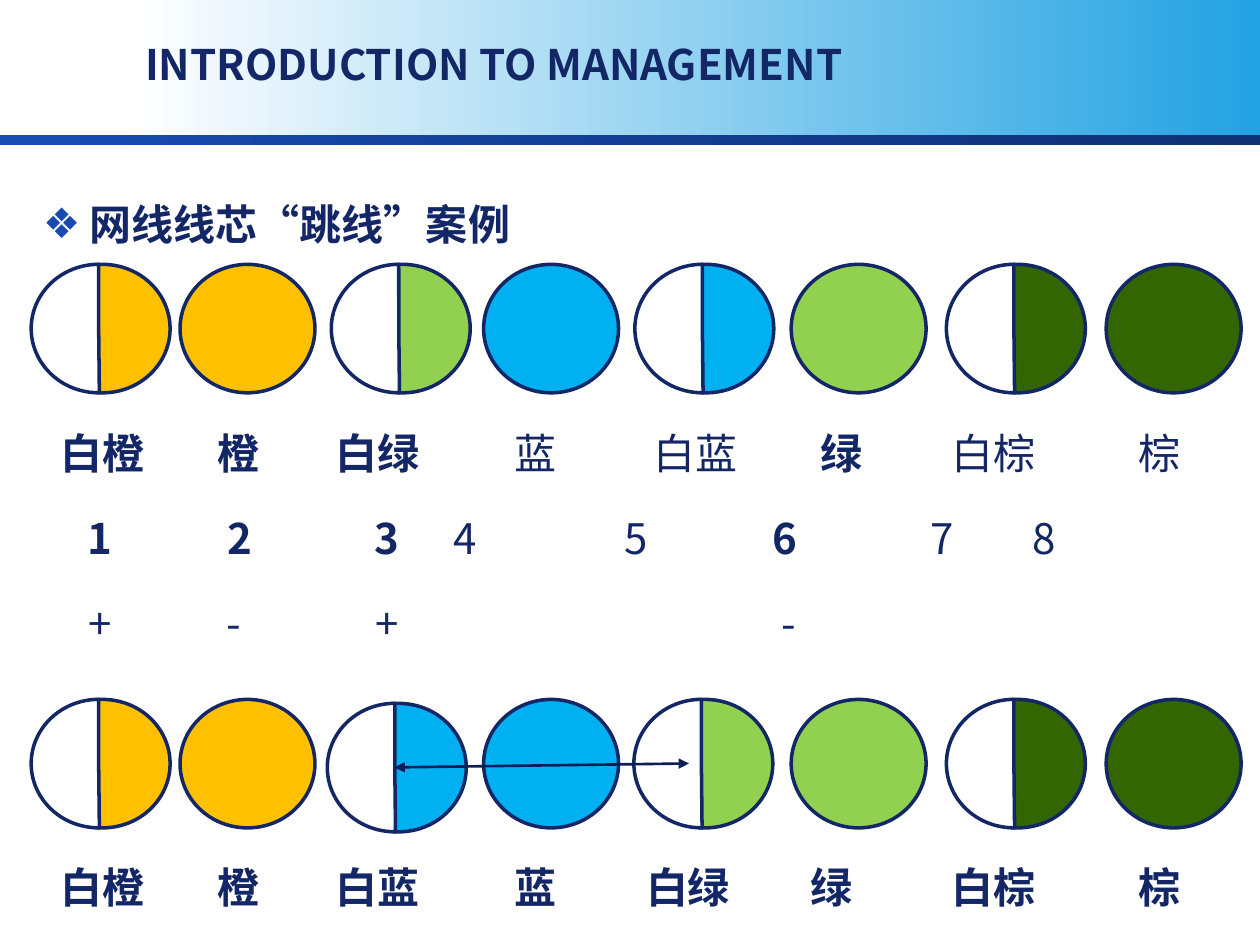
from dataclasses import dataclass

from lxml.etree import SubElement
from pptx import Presentation
from pptx.dml.color import RGBColor
from pptx.enum.shapes import MSO_CONNECTOR as LINE, MSO_SHAPE as SHAPE
from pptx.enum.text import MSO_ANCHOR as ANCHOR, MSO_AUTO_SIZE as FIT, PP_ALIGN as ALIGN
from pptx.oxml.ns import qn
from pptx.util import Cm, Pt


@dataclass(frozen=True)
class Theme:
    font: str = "Noto Sans CJK SC"
    size: float = 24
    line_height: float = 43.8
    gap: float = 4.8
    outline: float = 2
    ink: str = "132767"
    arrow: str = "0C1E57"
    bullet: str = "184BB2"
    banner: tuple = ("FFFFFF", "22A2E2")
    rule: tuple = ("184BB2", "103175")
    white: str = "FFFFFF"
    orange: str = "FFC000"
    green: str = "92D050"
    blue: str = "00B0F0"
    brown: str = "336600"


THEME = Theme()
WIRE_W, WIRE_H = 2.72, 2.59
HALF_SHIFT = 0.08

# Each wire: left edge, colour, whether its left half is white
TOP_WIRES = [
    (0.63, THEME.orange, True), (3.63, THEME.orange, False),
    (6.68, THEME.green, True), (9.75, THEME.blue, False),
    (12.8, THEME.blue, True), (15.95, THEME.green, False),
    (19.08, THEME.brown, True), (22.3, THEME.brown, False),
]
SWAPPED = {2: (6.6, THEME.blue, True), 4: (12.78, THEME.green, True)}
BOTTOM_WIRES = [SWAPPED.get(i, wire) for i, wire in enumerate(TOP_WIRES)]

# Each text row: words, centres of the words, indexes of the bold words
NAMES = (["白橙", "橙", "白绿", "蓝", "白蓝", "绿", "白棕", "棕"],
         [0.84, 3.58, 6.4, 9.58, 12.8, 15.75, 18.8, 22.15], {0, 1, 2, 5})
PINS = (list("12345678"),
        [0.79, 3.61, 6.58, 8.15, 11.61, 14.6, 17.78, 19.83], {0, 1, 2, 5})
SIGNS = (list("+-+-"), [0.79, 3.5, 6.58, 14.68], set())
SWAPPED_NAMES = (["白橙", "橙", "白蓝", "蓝", "白绿", "绿", "白棕", "棕"],
                 [0.84, 3.58, 6.4, 9.58, 12.65, 15.54, 18.8, 22.15], set(range(8)))


def rgb(colour):
    return RGBColor.from_string(colour)


def add_run(paragraph, text, bold):
    run = paragraph.add_run()
    run.text = text
    font = run.font
    font.name, font.size, font.bold = THEME.font, Pt(THEME.size), bold
    font.color.rgb = rgb(THEME.ink)
    SubElement(font._element, qn("a:ea"), typeface=THEME.font)


def place(shape, left, top, width, height):
    shape.left, shape.top = Cm(left), Cm(top)
    shape.width, shape.height = Cm(width), Cm(height)


def add_band(slide, depth, colours, left, top, width, height):
    band = slide.shapes.add_shape(SHAPE.RECTANGLE, Cm(left), Cm(top), Cm(width), Cm(height))
    band.shadow.inherit = False
    band.line.fill.background()
    band.fill.gradient()
    band.fill.gradient_angle = 0
    for stop, colour in zip(band.fill.gradient_stops, colours):
        stop.color.rgb = rgb(colour)
    # Bands lie behind the placeholders
    band.element.getparent().insert(2 + depth, band.element)


def add_header(slide, left, top, width):
    add_band(slide, 0, THEME.banner, left + 2.7, top, width - 2.7, 2.72)
    add_band(slide, 1, THEME.rule, left, top + 2.72, width, 0.2)
    title = slide.shapes.title
    place(title, left + 2.67, top + 0.76, 15.9, 1.17)
    frame = title.text_frame
    frame.auto_size, frame.word_wrap = FIT.NONE, False
    frame.vertical_anchor = ANCHOR.MIDDLE
    paragraph = frame.paragraphs[0]
    paragraph.alignment = ALIGN.LEFT
    paragraph.line_spacing = 0.9
    paragraph.space_before = Pt(0)
    add_run(paragraph, "INTRODUCTION TO MANAGEMENT", True)


def add_topic(slide, left, top, width, height):
    body = slide.placeholders[1]
    place(body, left, top, width, height)
    body.text_frame.auto_size = FIT.NONE
    paragraph = body.text_frame.paragraphs[0]
    paragraph.line_spacing = Pt(THEME.line_height)
    paragraph.space_before = Pt(0)
    props = paragraph._p.get_or_add_pPr()
    props.set("marL", str(Cm(0.95)))
    props.set("indent", str(Cm(-0.95)))
    SubElement(SubElement(props, qn("a:buClr")), qn("a:srgbClr"), val=THEME.bullet)
    SubElement(props, qn("a:buChar"), char="❖")
    add_run(paragraph, "网线线芯“跳线”案例", True)


def add_disc(shapes, kind, colour, left, top):
    disc = shapes.add_shape(kind, Cm(left), Cm(top), Cm(WIRE_W), Cm(WIRE_H))
    disc.shadow.inherit = False
    disc.fill.solid()
    disc.fill.fore_color.rgb = rgb(colour)
    disc.line.color.rgb = rgb(THEME.ink)
    disc.line.width = Pt(THEME.outline)
    return disc


def add_wire(slide, colour, striped, left, top):
    if not striped:
        add_disc(slide.shapes, SHAPE.OVAL, colour, left, top)
        return
    pair = slide.shapes.add_group_shape().shapes
    add_disc(pair, SHAPE.OVAL, colour, left + HALF_SHIFT, top)
    half = add_disc(pair, SHAPE.PIE, THEME.white, left, top)
    half.adjustments[0], half.adjustments[1] = 53.61, 162


def add_wires(slide, wires, top, lowered=None):
    for index, (left, colour, striped) in enumerate(wires):
        drop = 0.08 if index == lowered else 0
        add_wire(slide, colour, striped, left, top + drop)


def add_rows(slide, rows, left, top, width, height):
    frame = slide.shapes.add_textbox(Cm(left), Cm(top), Cm(width), Cm(height)).text_frame
    frame.word_wrap = True
    for index, (words, centres, bold) in enumerate(rows):
        paragraph = frame.add_paragraph() if index else frame.paragraphs[0]
        paragraph.line_spacing = Pt(THEME.line_height)
        paragraph.space_before = Pt(THEME.gap if index else 0)
        tabs = SubElement(paragraph._p.get_or_add_pPr(), qn("a:tabLst"))
        for centre in centres:
            SubElement(tabs, qn("a:tab"), pos=str(Cm(centre)), algn="ctr")
        for column, word in enumerate(words):
            add_run(paragraph, "\t" + word, column in bold)


def add_swap_arrow(slide, start, end):
    arrow = slide.shapes.add_connector(LINE.STRAIGHT, *map(Cm, start + end))
    arrow.line.color.rgb = rgb(THEME.arrow)
    arrow.line.width = Pt(1.5)
    for tip in ("a:headEnd", "a:tailEnd"):
        SubElement(arrow.line._get_or_add_ln(), qn(tip), type="triangle")
    SubElement(arrow._element.spPr, qn("a:effectLst"))


def main():
    deck = Presentation()
    deck.slide_width, deck.slide_height = Cm(25.4), Cm(19.05)
    slide = deck.slides.add_slide(deck.slide_layouts[1])
    add_header(slide, 0, 0, 25.4)
    add_topic(slide, 0.61, 3.35, 24.6, 1.63)
    # Wires in the standard order
    add_wires(slide, TOP_WIRES, 5.33)
    add_rows(slide, [NAMES, PINS, SIGNS], 0.97, 7.96, 24.4, 5.11)
    # Wires after the swap
    add_wires(slide, BOTTOM_WIRES, 14.1, lowered=2)
    add_rows(slide, [SWAPPED_NAMES], 0.97, 16.72, 24.4, 1.63)
    add_swap_arrow(slide, (7.95, 15.47), (13.89, 15.39))
    deck.save("out.pptx")


if __name__ == "__main__":
    main()
